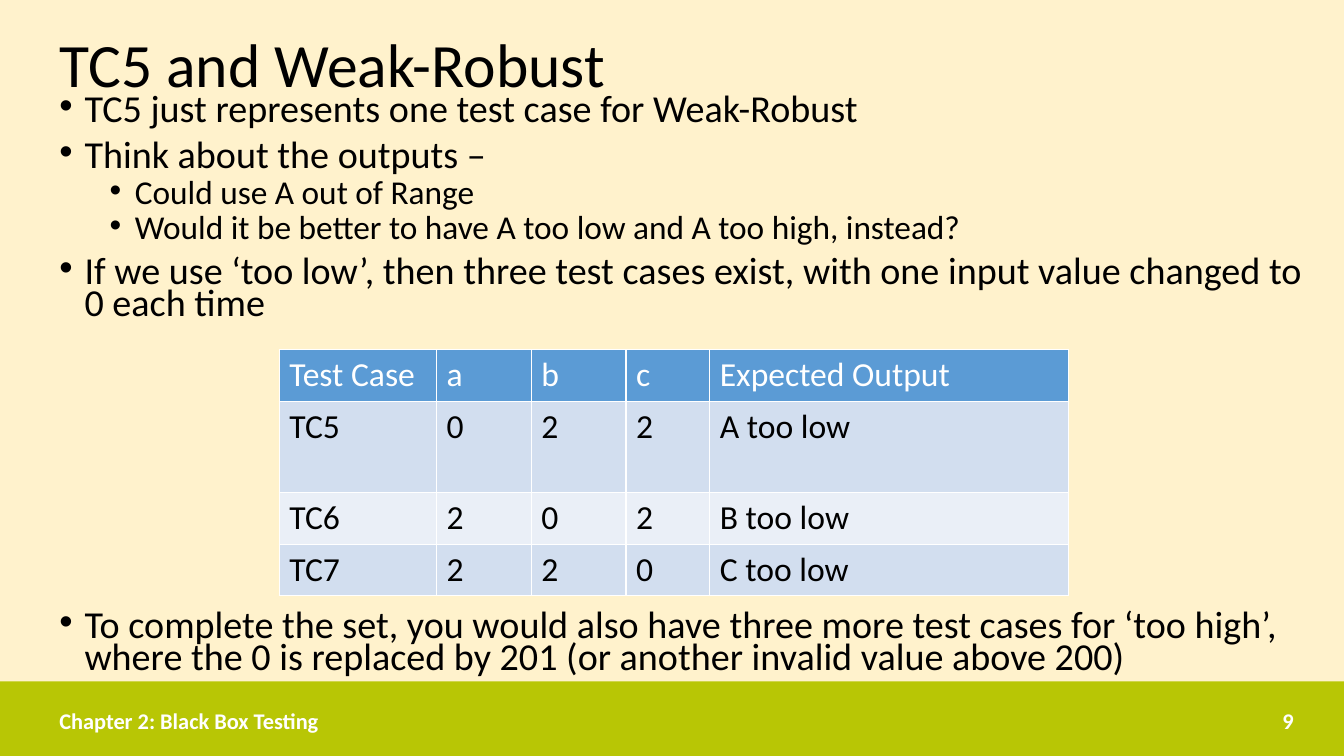
from pptx import Presentation
from pptx.dml.color import RGBColor
from pptx.enum.shapes import MSO_SHAPE
from pptx.enum.text import MSO_ANCHOR, MSO_AUTO_SIZE, PP_ALIGN
from pptx.oxml.ns import qn
from pptx.util import Inches, Pt
from lxml.etree import SubElement

WIDTH, HEIGHT = Inches(13.33), Inches(7.5)
MARGIN = Inches(0.49)
BAND_HEIGHT = Inches(0.74)
FOOTER_TOP, FOOTER_HEIGHT = Inches(6.95), Inches(0.4)
TABLE_GAP = 207
FONT = "Calibri"

CREAM = RGBColor(0xFF, 0xF2, 0xCC)
LIME = RGBColor(0xB8, 0xC6, 0x05)
BLACK = RGBColor(0, 0, 0)
WHITE = RGBColor(0xFF, 0xFF, 0xFF)
HEADER_BLUE = RGBColor(0x5B, 0x9B, 0xD5)
ROW_BLUES = (RGBColor(0xD2, 0xDE, 0xEF), RGBColor(0xEA, 0xEF, 0xF7))

BULLETS = [
    (0, 0, "TC5 just represents one test case for Weak-Robust"),
    (0, 10, "Think about the outputs –"),
    (1, 5, "Could use A out of Range"),
    (1, 5, "Would it be better to have A too low and A too high, instead?"),
    (0, 10, "If we use ‘too low’, then three test cases exist, "
            "with one input value changed to 0 each time"),
    (0, TABLE_GAP, "To complete the set, you would also have three more test cases "
                   "for ‘too high’, where the 0 is replaced by 201 "
                   "(or another invalid value above 200)"),
]
BULLET_SIZES = (27.2, 23.8)

TEST_CASES = [
    ("Test Case", "a", "b", "c", "Expected Output"),
    ("TC5", "0", "2", "2", "A too low"),
    ("TC6", "2", "0", "2", "B too low"),
    ("TC7", "2", "2", "0", "C too low"),
]
COLUMN_WIDTHS = (1.56, 0.94, 0.94, 0.83, 3.56)
ROW_HEIGHTS = (0.51, 0.91, 0.51, 0.51)


def add_span(para, text, size, color, bold=False):
    span = para.add_run()
    span.text = text
    span.font.name = FONT
    span.font.size = Pt(size)
    span.font.color.rgb = color
    span.font.bold = bold


def add_text_box(page, left, top, width, height, anchor):
    frame = page.shapes.add_textbox(left, top, width, height).text_frame
    frame.word_wrap = True
    frame.vertical_anchor = anchor
    return frame


def add_band(page):
    band = page.shapes.add_shape(
        MSO_SHAPE.RECTANGLE, 0, HEIGHT - BAND_HEIGHT, WIDTH, BAND_HEIGHT)
    band.shadow.inherit = False
    band.fill.solid()
    band.fill.fore_color.rgb = LIME
    band.line.fill.background()


def fill_title(page, text):
    title = page.shapes.title
    title.left, title.top = MARGIN, Inches(0.27)
    title.width, title.height = Inches(12.43), Inches(0.81)
    frame = title.text_frame
    frame.auto_size = MSO_AUTO_SIZE.NONE
    frame.vertical_anchor = MSO_ANCHOR.MIDDLE
    para = frame.paragraphs[0]
    para.alignment = PP_ALIGN.LEFT
    para.line_spacing = 0.9
    add_span(para, text, 44, BLACK)


def set_bullet(para, level):
    properties = para._p.get_or_add_pPr()
    properties.set("marL", str(Inches(0.25 + 0.5 * level)))
    properties.set("indent", str(-Inches(0.25)))
    SubElement(properties, qn("a:buFont"), typeface="Arial")
    SubElement(properties, qn("a:buChar"), char="•")


def add_bullets(page):
    frame = add_text_box(page, MARGIN, Inches(0.91), Inches(12.63), Inches(5.92),
                         MSO_ANCHOR.TOP)
    for index, (level, space, text) in enumerate(BULLETS):
        para = frame.add_paragraph() if index else frame.paragraphs[0]
        set_bullet(para, level)
        para.level = level
        para.line_spacing = 0.7
        para.space_before = Pt(space)
        add_span(para, text, BULLET_SIZES[level], BLACK)


def add_footer(page, left, width, text, alignment):
    frame = add_text_box(page, left, FOOTER_TOP, width, FOOTER_HEIGHT, MSO_ANCHOR.MIDDLE)
    para = frame.paragraphs[0]
    para.alignment = alignment
    add_span(para, text, 16, WHITE, bold=True)


def set_borders(cell):
    properties = cell._tc.get_or_add_tcPr()
    for side in ("L", "R", "T", "B"):
        line = SubElement(properties, qn(f"a:ln{side}"), w=str(Pt(1)))
        fill = SubElement(line, qn("a:solidFill"))
        SubElement(fill, qn("a:srgbClr"), val=str(WHITE))


def add_test_table(page):
    table = page.shapes.add_table(
        len(TEST_CASES), len(COLUMN_WIDTHS), Inches(2.77), Inches(3.47),
        Inches(sum(COLUMN_WIDTHS)), Inches(sum(ROW_HEIGHTS))).table
    for column, width in zip(table.columns, COLUMN_WIDTHS):
        column.width = Inches(width)
    for row, height in zip(table.rows, ROW_HEIGHTS):
        row.height = Inches(height)
    for row_index, values in enumerate(TEST_CASES):
        is_header = row_index == 0
        for column_index, value in enumerate(values):
            cell = table.cell(row_index, column_index)
            set_borders(cell)
            cell.fill.solid()
            cell.fill.fore_color.rgb = (
                HEADER_BLUE if is_header else ROW_BLUES[(row_index - 1) % 2])
            add_span(cell.text_frame.paragraphs[0], value, 24,
                     WHITE if is_header else BLACK)


def main():
    deck = Presentation()
    deck.slide_width, deck.slide_height = WIDTH, HEIGHT
    page = deck.slides.add_slide(deck.slide_layouts[5])
    page.background.fill.solid()
    page.background.fill.fore_color.rgb = CREAM
    add_band(page)
    fill_title(page, "TC5 and Weak-Robust")
    add_bullets(page)
    add_footer(page, MARGIN, Inches(6.19), "Chapter 2: Black Box Testing", PP_ALIGN.LEFT)
    add_footer(page, Inches(9.42), Inches(3.51), "9", PP_ALIGN.RIGHT)
    add_test_table(page)
    deck.save("out.pptx")


if __name__ == "__main__":
    main()
